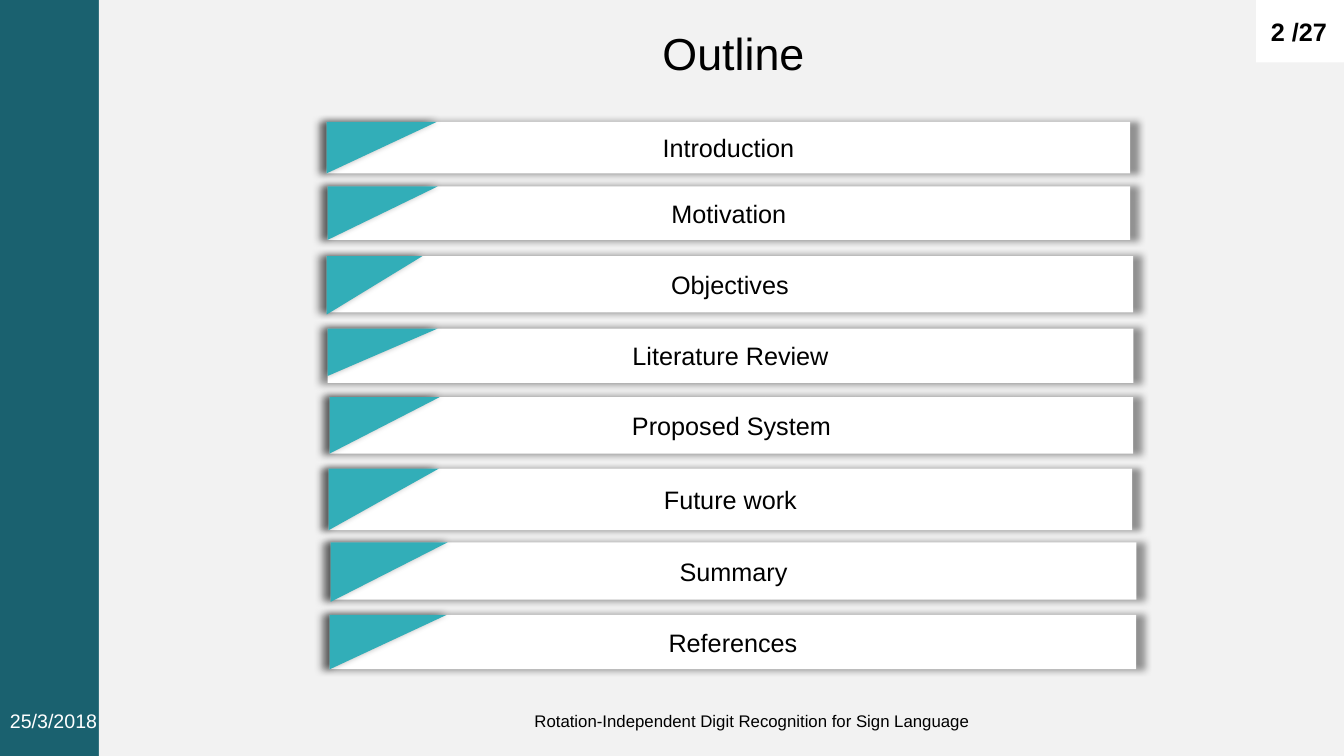
from dataclasses import dataclass

from lxml import etree
from pptx import Presentation
from pptx import util as u
from pptx.dml.color import RGBColor
from pptx.enum import shapes, text
from pptx.oxml import ns

TITLE = "Outline"
DATE = "25/3/2018"
PAGE = "2 /27"
FOOTER = "Rotation-Independent Digit Recognition for Sign Language"

# label, left, top, width, height, fold width, fold height
TOPICS = [
    ("Introduction", 3.24, 1.21, 7.97, 0.51, 1.09, 0.51),
    ("Motivation", 3.25, 1.85, 7.96, 0.53, 1.09, 0.53),
    ("Objectives", 3.24, 2.54, 8, 0.56, 0.95, 0.58),
    ("Literature Review", 3.25, 3.26, 7.99, 0.54, 1.09, 0.47),
    ("Proposed System", 3.27, 3.94, 7.97, 0.56, 1.09, 0.56),
    ("Future work", 3.26, 4.65, 7.97, 0.61, 1.09, 0.61),
    ("Summary", 3.28, 5.38, 7.99, 0.57, 1.16, 0.59),
    ("References", 3.27, 6.1, 8, 0.54, 1.16, 0.54),
]


@dataclass(frozen=True)
class Theme:
    font: str = "Arial"
    side: str = "1A616F"
    panel: str = "F2F2F2"
    bar: str = "FFFFFF"
    fold: str = "32AEB8"
    ink: str = "000000"
    title_pt: int = 32
    body_pt: int = 18
    date_pt: int = 14
    footer_pt: int = 12


T = Theme()
WIDTH, HEIGHT = 13.33, 7.5
SIDE_WIDTH = 0.98
PAGE_WIDTH, PAGE_HEIGHT = 0.87, 0.62
FOOT_TOP, FOOT_HEIGHT = 6.95, 0.4
MIDDLE, TOP = text.MSO_ANCHOR.MIDDLE, text.MSO_ANCHOR.TOP
LEFT, CENTER, RIGHT = text.PP_ALIGN.LEFT, text.PP_ALIGN.CENTER, text.PP_ALIGN.RIGHT
RECT, TRIANGLE = shapes.MSO_SHAPE.RECTANGLE, shapes.MSO_SHAPE.RIGHT_TRIANGLE


def box(*lengths):
    return [u.Inches(n) for n in lengths]


def paint(sp, color):
    sp.fill.solid()
    sp.fill.fore_color.rgb = RGBColor.from_string(color)


def write(sp, words, size, color=T.ink, align=CENTER, anchor=MIDDLE, bold=False):
    tf = sp.text_frame
    tf.word_wrap = True
    tf.auto_size = text.MSO_AUTO_SIZE.NONE
    tf.vertical_anchor = anchor
    p = tf.paragraphs[0]
    p.text = words
    p.alignment = align
    p.font.name = T.font
    p.font.size = u.Pt(size)
    p.font.bold = bold
    p.font.color.rgb = RGBColor.from_string(color)
    return tf


def add_plain(parent, kind, lengths, color):
    sp = parent.add_shape(kind, *box(*lengths))
    sp.shadow.inherit = False
    paint(sp, color)
    sp.line.fill.background()
    return sp


def add_glow(sp):
    effects = sp._element.spPr.find(ns.qn("a:effectLst"))
    shadow = etree.SubElement(effects, ns.qn("a:outerShdw"), blurRad=str(u.Pt(5)),
                              sx="102000", sy="102000", algn="ctr", rotWithShape="0")
    color = etree.SubElement(shadow, ns.qn("a:srgbClr"), val=T.ink)
    etree.SubElement(color, ns.qn("a:alpha"), val="40000")


def add_topic(s, label, left, top, width, height, fold_width, fold_height):
    group = s.shapes.add_group_shape().shapes
    bar = add_plain(group, RECT, (left, top, width, height), T.bar)
    write(bar, label, T.body_pt)
    shift = (fold_width - fold_height) / 2
    fold = add_plain(group, TRIANGLE,
                     (left + shift, top - shift, fold_height, fold_width), T.fold)
    fold.rotation = 90
    for sp in (bar, fold):
        add_glow(sp)


def add_label(s, lengths, words, size, color, align):
    write(s.shapes.add_textbox(*box(*lengths)), words, size, color, align)


def main():
    prs = Presentation()
    prs.slide_width, prs.slide_height = box(WIDTH, HEIGHT)
    s = prs.slides.add_slide(prs.slide_layouts[5])
    paint(s.background, T.side)

    panel = s.shapes.title
    panel.left, panel.top, panel.width, panel.height = box(
        SIDE_WIDTH, 0, WIDTH - SIDE_WIDTH, HEIGHT)
    paint(panel, T.panel)
    tf = write(panel, TITLE, T.title_pt, anchor=TOP)
    tf.margin_left, tf.margin_top = box(0.34, 0.25)

    for topic in TOPICS:
        add_topic(s, *topic)

    add_label(s, (0, FOOT_TOP, 3, FOOT_HEIGHT), DATE, T.date_pt, T.bar, LEFT)
    page = add_plain(s.shapes, RECT,
                     (WIDTH - PAGE_WIDTH, 0, PAGE_WIDTH, PAGE_HEIGHT), T.bar)
    tf = write(page, PAGE, T.body_pt, align=RIGHT, bold=True)
    tf.margin_right = u.Inches(0.17)
    add_label(s, (4.23, FOOT_TOP, 6.46, FOOT_HEIGHT), FOOTER, T.footer_pt, T.ink, CENTER)

    prs.save("out.pptx")


if __name__ == "__main__":
    main()
